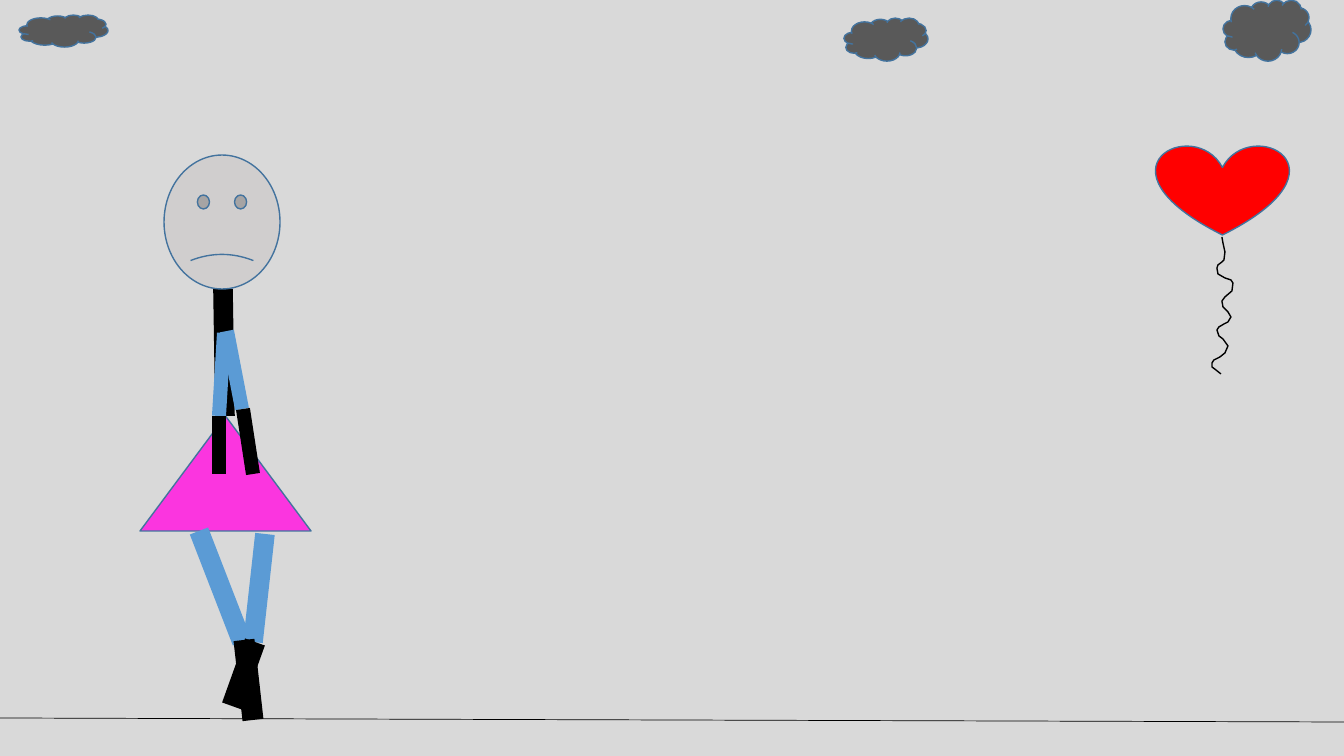
from pptx import Presentation
from pptx.dml.color import RGBColor
from pptx.enum.shapes import MSO_CONNECTOR, MSO_SHAPE as Preset
from pptx.oxml.ns import qn
from pptx.util import Pt
from lxml import etree

SKY = RGBColor(0xD9, 0xD9, 0xD9)
BLACK = RGBColor(0, 0, 0)
BLUE = RGBColor(0x5B, 0x9B, 0xD5)
OUTLINE = RGBColor(0x43, 0x73, 0x9E)
PINK = RGBColor(0xFB, 0x35, 0xDF)
RED = RGBColor(0xFF, 0, 0)
FACE = RGBColor(0xD0, 0xCE, 0xCE)
CLOUD = RGBColor(0x59, 0x59, 0x59)

# Content in pixels. Limbs: x1, y1, x2, y2, colour, width in points
NECK = (223, 289, 225, 416, BLACK, 14)
LEGS = [
    (199, 531, 242, 642, BLUE, 14),
    (265, 534, 253, 642, BLUE, 14),
    (244, 640, 253, 720, BLACK, 15),
    (255, 642, 232, 706, BLACK, 15),
]
ARMS = [
    (227, 331, 242, 409, BLUE, 10),
    (224, 333, 219, 416, BLUE, 10),
    (219, 416, 219, 474, BLACK, 10),
    (243, 409, 253, 474, BLACK, 10),
]
GROUND = (0, 718, 1344, 722, BLACK, 0.5)

# Shapes: left, top, width, height
SKIRT = (140, 416, 171, 115)
HEAD = (164, 155, 116, 134)
FROWN = -0.023
HEART = (1156, 145, 133, 90)
CLOUDS = [(19, 15, 89, 32), (844, 18, 84, 43), (1223, 0, 88, 61)]
STRING = [
    (1222, 237), (1223, 243), (1225, 252), (1224, 260), (1222, 262), (1218, 265),
    (1217, 268), (1218, 274), (1225, 278), (1231, 280), (1233, 283), (1232, 291),
    (1225, 297), (1222, 301), (1223, 307), (1228, 312), (1231, 317), (1228, 322),
    (1224, 324), (1219, 327), (1217, 330), (1219, 336), (1223, 339), (1228, 346),
    (1225, 353), (1220, 357), (1214, 360), (1212, 363), (1212, 367), (1216, 370),
    (1221, 374),
]

SCALE = 914400 / 100.8


def px(*lengths):
    return [round(length * SCALE) for length in lengths]


deck = Presentation()
deck.slide_width, deck.slide_height = px(1344, 756)
page = deck.slides.add_slide(deck.slide_layouts[6])
page.background.fill.solid()
page.background.fill.fore_color.rgb = SKY


def set_line(shape, color, width):
    shape.line.color.rgb = color
    shape.line.width = Pt(width)


def draw_line(x1, y1, x2, y2, color, width):
    line = page.shapes.add_connector(MSO_CONNECTOR.STRAIGHT, *px(x1, y1, x2, y2))
    set_line(line, color, width)
    etree.SubElement(line._element.spPr, qn("a:effectLst"))


def draw_shape(preset, place, color):
    shape = page.shapes.add_shape(preset, *px(*place))
    shape.shadow.inherit = False
    shape.fill.solid()
    shape.fill.fore_color.rgb = color
    set_line(shape, OUTLINE, 1)
    return shape


# Body
draw_line(*NECK)
draw_shape(Preset.ISOSCELES_TRIANGLE, SKIRT, PINK)
for limb in LEGS + ARMS:
    draw_line(*limb)

# Heart balloon and its string
draw_shape(Preset.HEART, HEART, RED)
builder = page.shapes.build_freeform(*STRING[0], scale=SCALE)
builder.add_line_segments(STRING[1:], close=False)
string = builder.convert_to_shape()
string.shadow.inherit = False
string.fill.background()
set_line(string, BLACK, 1)

# Sad face
head = draw_shape(Preset.SMILEY_FACE, HEAD, FACE)
head.adjustments[0] = FROWN

# Ground and clouds
draw_line(*GROUND)
for place in CLOUDS:
    draw_shape(Preset.CLOUD, place, CLOUD)

deck.save("out.pptx")
